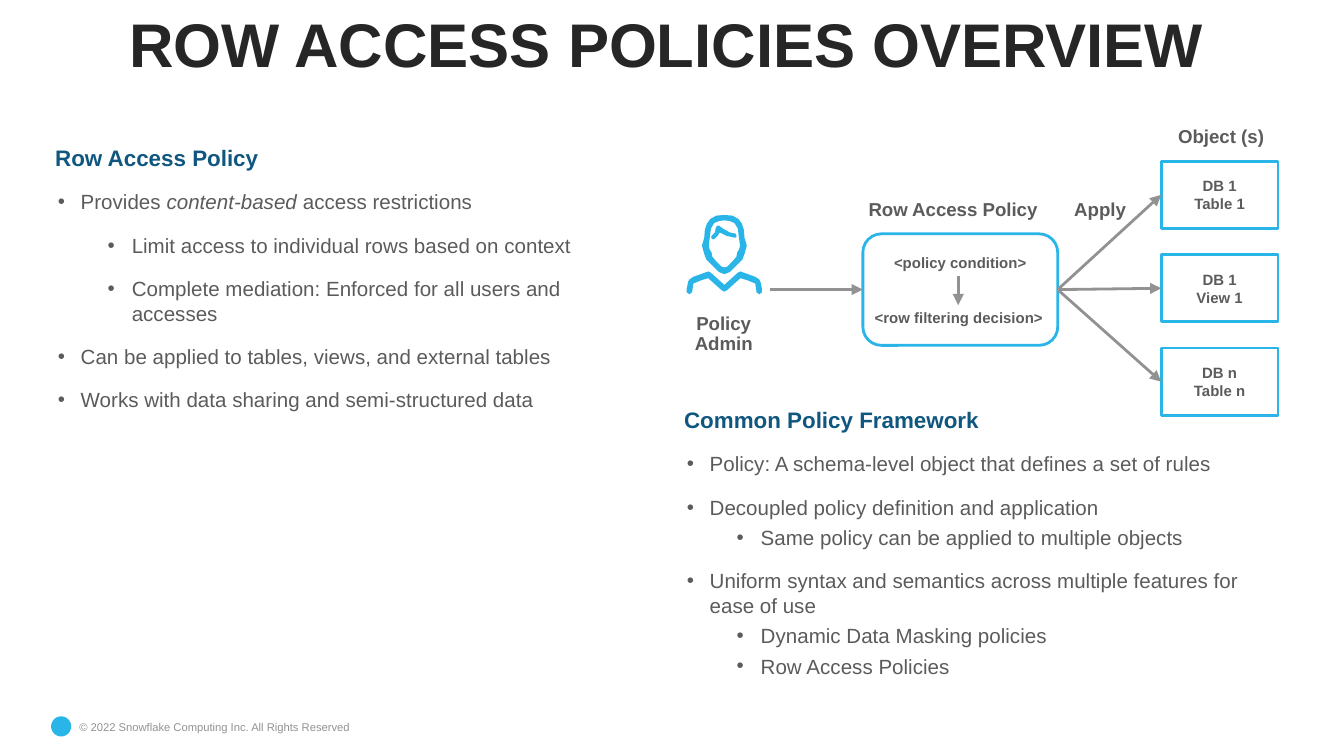
from dataclasses import dataclass

from lxml.etree import SubElement
from pptx import Presentation
from pptx.dml.color import RGBColor
from pptx.enum.shapes import MSO_CONNECTOR, MSO_SHAPE
from pptx.enum.text import MSO_ANCHOR, MSO_AUTO_SIZE, PP_ALIGN
from pptx.oxml.ns import qn
from pptx.util import Pt

PX = 4572


@dataclass(frozen=True)
class Theme:
    font: str = "Arial"
    title: str = "262626"
    heading: str = "105780"
    body: str = "5B5B5B"
    muted: str = "929292"
    accent: str = "29B5E8"
    white: str = "FFFFFF"
    title_size: int = 33
    heading_size: int = 12
    body_size: int = 11
    label_size: int = 10
    node_size: int = 8
    footer_size: int = 6
    stroke: float = 1.5


class SlideBuilder:
    WIDE = (20, 20, 20, 20)
    TIGHT = (14, 8, 14, 8)
    TITLE = (20, 10, 20, 10)
    INDENTS = ((38, -34), (114, -36))

    def __init__(self, slide, theme):
        self.slide, self.theme = slide, theme

    def place(self, shape, box):
        shape.left, shape.top, shape.width, shape.height = (v * PX for v in box)

    def frame(self, shape, insets, anchor=MSO_ANCHOR.TOP):
        frame = shape.text_frame
        frame.word_wrap = True
        frame.auto_size = MSO_AUTO_SIZE.NONE
        frame.vertical_anchor = anchor
        (frame.margin_left, frame.margin_top,
         frame.margin_right, frame.margin_bottom) = (v * PX for v in insets)
        return frame

    def style(self, paragraph, size, color, bold=False):
        for run in paragraph.runs:
            run.font.name = self.theme.font
            run.font.size = Pt(size)
            run.font.bold = bold
            run.font.color.rgb = RGBColor.from_string(color)

    def set_text(self, frame, text, size, color, bold=True, align=PP_ALIGN.CENTER, spacing=None):
        frame.text = text
        for paragraph in frame.paragraphs:
            paragraph.alignment = align
            paragraph.line_spacing = spacing
            self.style(paragraph, size, color, bold)

    def title(self, text, box):
        title = self.slide.shapes.title
        self.place(title, box)
        frame = self.frame(title, self.TITLE, MSO_ANCHOR.MIDDLE)
        self.set_text(frame, text, self.theme.title_size, self.theme.title, spacing=0.9)

    def bullets(self, index, box, heading, items):
        body = self.slide.placeholders[index]
        self.place(body, box)
        frame = self.frame(body, self.TIGHT)
        frame.text = heading
        first = frame.paragraphs[0]
        self.indent(first, 0, 0)
        SubElement(first._p.get_or_add_pPr(), qn("a:buNone"))
        first.space_before = Pt(0)
        self.style(first, self.theme.heading_size, self.theme.heading, True)
        for level, gap, text in items:
            paragraph = frame.add_paragraph()
            paragraph.level = level
            self.indent(paragraph, *self.INDENTS[level])
            SubElement(paragraph._p.get_or_add_pPr(), qn("a:buChar"), char="•")
            paragraph.space_before = Pt(gap)
            for position, part in enumerate(text.split("*")):
                run = paragraph.add_run()
                run.text = part
                run.font.italic = position % 2 == 1
            self.style(paragraph, self.theme.body_size, self.theme.body)

    def indent(self, paragraph, left, hanging):
        properties = paragraph._p.get_or_add_pPr()
        properties.set("marL", str(left * PX))
        properties.set("indent", str(hanging * PX))

    def label(self, text, box, size, insets=WIDE, anchor=MSO_ANCHOR.TOP, **options):
        color = options.pop("color", self.theme.body)
        shape = self.slide.shapes.add_textbox(*(v * PX for v in box))
        self.set_text(self.frame(shape, insets, anchor), text, size, color, **options)

    def paint(self, shape, fill, line=None):
        shape.shadow.inherit = False
        shape.fill.solid()
        shape.fill.fore_color.rgb = RGBColor.from_string(fill)
        if line:
            shape.line.color.rgb = RGBColor.from_string(line)
            shape.line.width = Pt(self.theme.stroke)
        else:
            shape.line.fill.background()

    def node(self, kind, box, text=""):
        shape = self.slide.shapes.add_shape(kind, *(v * PX for v in box))
        self.paint(shape, self.theme.white, self.theme.accent)
        if text:
            frame = self.frame(shape, self.WIDE, MSO_ANCHOR.MIDDLE)
            self.set_text(frame, text, self.theme.node_size, self.theme.body)
        return shape

    def dot(self, box):
        shape = self.slide.shapes.add_shape(MSO_SHAPE.OVAL, *(v * PX for v in box))
        self.paint(shape, self.theme.accent)

    def outline(self, *contours):
        start, *rest = contours[0]
        builder = self.slide.shapes.build_freeform(*start, scale=PX)
        builder.add_line_segments(rest, close=True)
        for contour in contours[1:]:
            builder.move_to(*contour[0])
            builder.add_line_segments(contour[1:], close=True)
        self.paint(builder.convert_to_shape(), self.theme.accent)

    def arrow(self, start, end, source=None, target=None):
        line = self.slide.shapes.add_connector(
            MSO_CONNECTOR.STRAIGHT, *(v * PX for v in (*start, *end)))
        if source:
            line.begin_connect(source, 3)
        if target:
            line.end_connect(target, 1)
        line.line.color.rgb = RGBColor.from_string(self.theme.muted)
        line.line.width = Pt(self.theme.stroke)
        properties = line._element.spPr
        SubElement(properties.find(qn("a:ln")), qn("a:tailEnd"), type="triangle")
        SubElement(properties, qn("a:effectLst"))


def mirrored(axis, half):
    right = [(axis + dx, y) for dx, y in half]
    left = [(axis - dx, y) for dx, y in reversed(half) if dx]
    return right + left


def main():
    deck = Presentation()
    deck.slide_width, deck.slide_height = 2000 * PX, 1125 * PX
    theme = Theme()
    page = SlideBuilder(deck.slides.add_slide(deck.slide_layouts[3]), theme)

    page.title("ROW ACCESS POLICIES OVERVIEW", (60, 8, 1864, 126))
    page.bullets(1, (68, 206, 882, 760), "Row Access Policy", [
        (0, 10, "Provides *content-based* access restrictions"),
        (1, 10, "Limit access to individual rows based on context"),
        (1, 10, "Complete mediation: Enforced for all users and accesses"),
        (0, 10, "Can be applied to tables, views, and external tables"),
        (0, 10, "Works with data sharing and semi-structured data")])
    page.bullets(2, (1004, 596, 882, 430), "Common Policy Framework", [
        (0, 10, "Policy: A schema-level object that defines a set of rules"),
        (0, 10, "Decoupled policy definition and application"),
        (1, 3, "Same policy can be applied to multiple objects"),
        (0, 10, "Uniform syntax and semantics across multiple features for ease of use"),
        (1, 3, "Dynamic Data Masking policies"),
        (1, 3, "Row Access Policies")])

    policy = page.node(MSO_SHAPE.ROUNDED_RECTANGLE, (1284, 348, 290, 166))
    for step, box in (("<policy condition>", (1284, 366, 290, 50)),
                      ("<row filtering decision>", (1250, 448, 354, 50))):
        page.label(step, box, theme.node_size, anchor=MSO_ANCHOR.MIDDLE)
    page.arrow((1426, 410), (1426, 454))

    for row, name in enumerate(("DB 1\nTable 1", "DB 1\nView 1", "DB n\nTable n")):
        top = 240 + 139 * row
        target = page.node(MSO_SHAPE.RECTANGLE, (1728, top, 174, 100), name)
        page.arrow((1574, 431), (1728, top + 50), policy, target)
    page.arrow((1146, 431), (1284, 431), target=policy)

    for caption, box in (("Row Access Policy", (1250, 274, 336, 74)),
                         ("Object (s)", (1706, 166, 222, 74)),
                         ("Apply", (1526, 274, 222, 74))):
        page.label(caption, box, theme.label_size)
    page.label("Policy Admin", (1004, 460, 146, 86), theme.label_size, page.TIGHT, spacing=0.9)

    axis = 1078
    face = [(0, 320), (12, 321), (21, 326), (26, 333), (29, 342), (30, 354), (33, 364),
            (33, 367), (30, 378), (27, 386), (19, 394), (15, 398), (8, 405), (0, 408)]
    face_inside = [(0, 328), (8, 329), (15, 332), (20, 340), (22, 356), (23, 364), (23, 367),
                   (22, 371), (19, 376), (18, 382), (13, 388), (9, 392), (4, 397), (0, 398)]
    shoulders = [(0, 424), (20, 406), (24, 404), (46, 412), (52, 416), (54, 420), (56, 430),
                 (56, 435), (52, 438), (48, 435), (46, 422), (34, 417), (24, 414), (4, 432), (0, 434)]
    fringe = [(1060, 356), (1063, 356), (1068, 351), (1071, 346), (1081, 351), (1094, 354),
              (1096, 352), (1095, 348), (1086, 346), (1077, 341), (1070, 336), (1067, 336),
              (1065, 340), (1064, 346), (1060, 350), (1058, 353)]
    page.outline(mirrored(axis, face), mirrored(axis, face_inside))
    page.outline(fringe)
    page.outline(mirrored(axis, shoulders))

    page.dot((76, 1066, 30, 30))
    page.label("© 2022 Snowflake Computing Inc. All Rights Reserved", (104, 1064, 444, 36),
               theme.footer_size, page.TIGHT, color=theme.muted, bold=False, align=PP_ALIGN.LEFT)
    deck.save("out.pptx")


if __name__ == "__main__":
    main()
